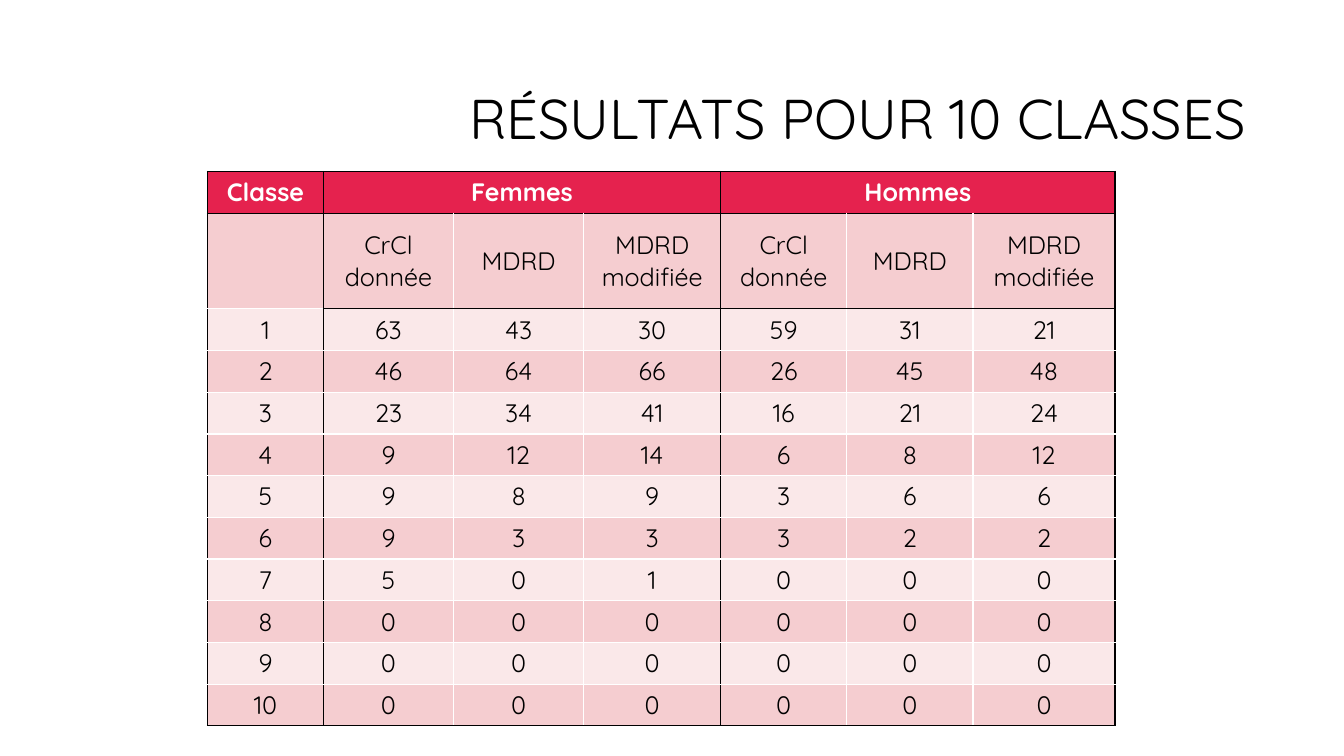
"""Build the slide that compares ten classes for women and men."""
from lxml import etree
from pptx import Presentation
from pptx.dml import color
from pptx.enum import text
from pptx.oxml import ns
from pptx.util import Cm, Pt

TITLE = "RÉSULTATS POUR 10 CLASSES "
GROUPS = ["Classe", "Femmes", "", "", "Hommes", "", ""]
MEASURES = ["CrCl donnée", "MDRD", "MDRD modifiée"]
COUNTS = [
    (63, 43, 30, 59, 31, 21),
    (46, 64, 66, 26, 45, 48),
    (23, 34, 41, 16, 21, 24),
    (9, 12, 14, 6, 8, 12),
    (9, 8, 9, 3, 6, 6),
    (9, 3, 3, 3, 2, 2),
    (5, 0, 1, 0, 0, 0),
    (0, 0, 0, 0, 0, 0),
    (0, 0, 0, 0, 0, 0),
    (0, 0, 0, 0, 0, 0),
]
ROWS = [GROUPS, ["", *MEASURES, *MEASURES]]
ROWS += [[number, *counts] for number, counts in enumerate(COUNTS, 1)]

FONT = "Quicksand"
BLACK, WHITE = "000000", "FFFFFF"
RED, PINK, PALE = "E5224E", "F5CDD0", "FAE8E9"
WIDTHS = [2.92, 3.28, 3.28, 3.45, 3.18, 3.18, 3.58]
ROW_HEIGHT, MEASURE_HEIGHT = 0.97, 2.41
GROUP_EDGES = {0, 1, 4, 7}


def rgb(value):
    return color.RGBColor.from_string(value)


def write(frame, content, size=18, ink=BLACK, bold=False,
          align=text.PP_ALIGN.CENTER, spacing=None):
    para = frame.paragraphs[0]
    para.alignment = align
    para.line_spacing = spacing
    para.font.size = Pt(size)
    if content == "":
        return
    span = para.add_run()
    span.text = str(content)
    span.font.name = FONT
    span.font.size = Pt(size)
    span.font.bold = bold
    span.font.color.rgb = rgb(ink)


def vertical_ink(row, edge):
    return BLACK if row == 0 or edge in GROUP_EDGES else WHITE


def horizontal_ink(edge, column):
    heading_edge = edge == 2 and column > 0
    return BLACK if edge in (0, 1, len(ROWS)) or heading_edge else WHITE


def add_borders(cell, row, column):
    inks = {
        "a:lnL": vertical_ink(row, column),
        "a:lnR": vertical_ink(row, column + 1),
        "a:lnT": horizontal_ink(row, column),
        "a:lnB": horizontal_ink(row + 1, column),
    }
    properties = cell._tc.get_or_add_tcPr()
    for tag, ink in inks.items():
        line = etree.SubElement(properties, ns.qn(tag), w=str(Pt(1)))
        fill = etree.SubElement(line, ns.qn("a:solidFill"))
        etree.SubElement(fill, ns.qn("a:srgbClr"), val=ink)


def add_title(page):
    title = page.shapes.title
    title.left, title.top = Cm(8.1), Cm(1.27)
    title.width, title.height = Cm(23.93), Cm(3.58)
    frame = title.text_frame
    frame.word_wrap = True
    frame.auto_size = text.MSO_AUTO_SIZE.NONE
    frame.vertical_anchor = text.MSO_ANCHOR.MIDDLE
    write(frame, TITLE, size=40, align=text.PP_ALIGN.RIGHT, spacing=0.9)


def add_results(page):
    heights = [ROW_HEIGHT] * len(ROWS)
    heights[1] = MEASURE_HEIGHT
    table = page.shapes.add_table(
        len(ROWS), len(WIDTHS), Cm(5.23), Cm(4.32),
        Cm(sum(WIDTHS)), Cm(sum(heights))).table
    table.first_row = table.horz_banding = False
    for column, width in zip(table.columns, WIDTHS):
        column.width = Cm(width)
    for row, height in zip(table.rows, heights):
        row.height = Cm(height)
    for first in (1, 4):
        table.cell(0, first).merge(table.cell(0, first + 2))
    for row, values in enumerate(ROWS):
        header = row == 0
        shade = RED if header else PINK if row % 2 else PALE
        for column, value in enumerate(values):
            cell = table.cell(row, column)
            add_borders(cell, row, column)
            cell.fill.solid()
            cell.fill.fore_color.rgb = rgb(shade)
            cell.vertical_anchor = text.MSO_ANCHOR.MIDDLE
            write(cell.text_frame, value, bold=header,
                  ink=WHITE if header else BLACK)


def main():
    deck = Presentation()
    deck.slide_width, deck.slide_height = Cm(33.87), Cm(19.05)
    page = deck.slides.add_slide(deck.slide_layouts[5])
    add_title(page)
    add_results(page)
    deck.save("out.pptx")


if __name__ == "__main__":
    main()
